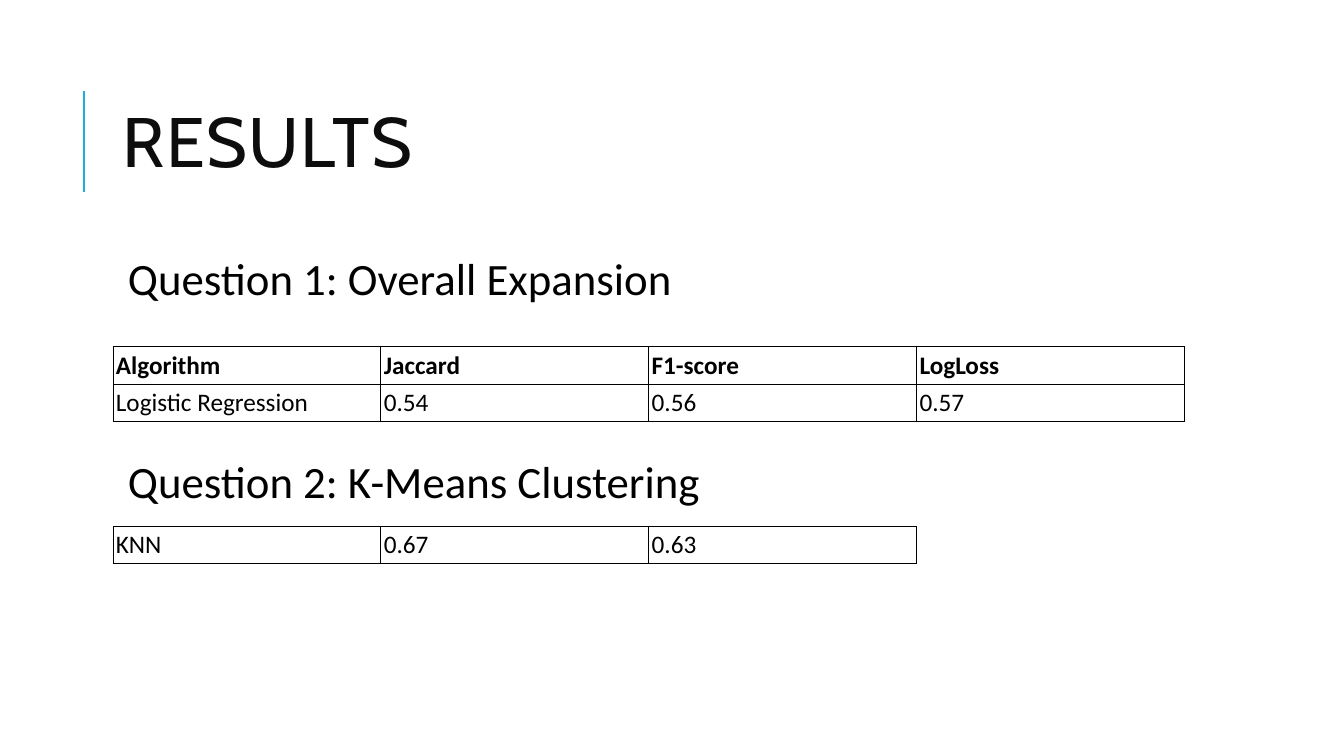
from dataclasses import dataclass

import lxml.etree
import pptx
import pptx.dml.color
import pptx.enum.shapes
import pptx.enum.text
import pptx.oxml.ns
import pptx.slide
import pptx.table
import pptx.text.text
import pptx.util

Pt = pptx.util.Pt
RGBColor = pptx.dml.color.RGBColor
MIDDLE = pptx.enum.text.MSO_ANCHOR.MIDDLE
qn = pptx.oxml.ns.qn

BLACK = RGBColor(0x00, 0x00, 0x00)
WHITE = RGBColor(0xFF, 0xFF, 0xFF)
TITLE_COLOR = RGBColor(0x0D, 0x0D, 0x0D)
ACCENT = RGBColor(0x1C, 0xAD, 0xE4)

# Shared layout, in points
CONTENT_LEFT = 80.64
CONTENT_WIDTH = 765.36
COLUMN_WIDTH = CONTENT_WIDTH / 4
ROW_HEIGHT = 26.64
CELL_MARGIN = 2.16


@dataclass
class ResultTable:
    top: float
    rows: list[list[str]]
    has_header: bool = False


RESULT_TABLES = [
    ResultTable(247.68, [["Algorithm", "Jaccard", "F1-score", "LogLoss"],
                         ["Logistic Regression", "0.54", "0.56", "0.57"]], has_header=True),
    ResultTable(375.84, [["KNN", "0.67", "0.63"]]),
]


def write_text(paragraph: pptx.text.text._Paragraph, text: str, *, size: float,
               font: str = "Calibri", color: RGBColor = BLACK, bold: bool = False,
               line_spacing: float = 1.0, space_before: float = 0,
               space_after: float = 0, tracking: int = 0) -> None:
    paragraph.line_spacing = line_spacing
    paragraph.space_before = Pt(space_before)
    paragraph.space_after = Pt(space_after)
    run = paragraph.add_run()
    run.text = text
    run.font.name = font
    run.font.size = Pt(size)
    run.font.bold = bold
    run.font.color.rgb = color
    if tracking:
        run.font._element.set("spc", str(tracking))


def add_text_frame(slide: pptx.slide.Slide, top: float, height: float, *,
                   left_margin: float, vertical_margin: float) -> pptx.text.text.TextFrame:
    box = slide.shapes.add_textbox(Pt(CONTENT_LEFT), Pt(top), Pt(CONTENT_WIDTH), Pt(height))
    frame = box.text_frame
    frame.word_wrap = True
    frame.margin_left = Pt(left_margin)
    frame.margin_top = frame.margin_bottom = Pt(vertical_margin)
    return frame


def format_cell(cell: pptx.table._Cell) -> None:
    cell.vertical_anchor = MIDDLE
    cell.margin_left = cell.margin_right = Pt(CELL_MARGIN)
    cell.margin_top = cell.margin_bottom = Pt(CELL_MARGIN)
    properties = cell._tc.get_or_add_tcPr()
    for side in ("a:lnL", "a:lnR", "a:lnT", "a:lnB"):
        border = lxml.etree.SubElement(properties, qn(side), w=str(Pt(0.6)))
        border_fill = lxml.etree.SubElement(border, qn("a:solidFill"))
        lxml.etree.SubElement(border_fill, qn("a:srgbClr"), val=str(BLACK))
    cell.fill.solid()
    cell.fill.fore_color.rgb = WHITE


def add_result_table(slide: pptx.slide.Slide, result: ResultTable) -> None:
    row_count, column_count = len(result.rows), len(result.rows[0])
    table = slide.shapes.add_table(
        row_count, column_count, Pt(CONTENT_LEFT), Pt(result.top),
        Pt(COLUMN_WIDTH * column_count), Pt(ROW_HEIGHT * row_count)).table
    table.first_row = result.has_header
    table.horz_banding = False
    for column in table.columns:
        column.width = Pt(COLUMN_WIDTH)
    for row_index, values in enumerate(result.rows):
        table.rows[row_index].height = Pt(ROW_HEIGHT)
        for column_index, value in enumerate(values):
            cell = table.cell(row_index, column_index)
            format_cell(cell)
            write_text(cell.text_frame.paragraphs[0], value, size=18,
                       bold=result.has_header and row_index == 0)


def main() -> None:
    presentation = pptx.Presentation()
    presentation.slide_width, presentation.slide_height = Pt(960), Pt(540)
    slide = presentation.slides.add_slide(presentation.slide_layouts[6])

    # Accent line beside the title
    accent_line = slide.shapes.add_connector(
        pptx.enum.shapes.MSO_CONNECTOR.STRAIGHT, Pt(60), Pt(136.8), Pt(60), Pt(64.8))
    accent_line.line.color.rgb = ACCENT
    accent_line.line.width = Pt(1.5)
    lxml.etree.SubElement(accent_line._element.spPr, qn("a:effectLst"))

    # Title
    title = add_text_frame(slide, 46.08, 118.08, left_margin=7.2, vertical_margin=3.6)
    title.vertical_anchor = MIDDLE
    write_text(title.paragraphs[0], "RESULTS", size=50, font="Cabin", color=TITLE_COLOR,
               line_spacing=0.8, tracking=100)

    # Question headings, spaced to leave room for the first table
    questions = add_text_frame(slide, 180, 316.8, left_margin=10.8, vertical_margin=3.6)
    write_text(questions.paragraphs[0], "Question 1: Overall Expansion", size=32,
               line_spacing=0.9, space_after=2)
    write_text(questions.add_paragraph(), "Question 2: K-Means Clustering", size=32,
               line_spacing=0.9, space_before=108.6, space_after=2)

    # Result tables
    for result in RESULT_TABLES:
        add_result_table(slide, result)

    presentation.save("out.pptx")


if __name__ == "__main__":
    main()
